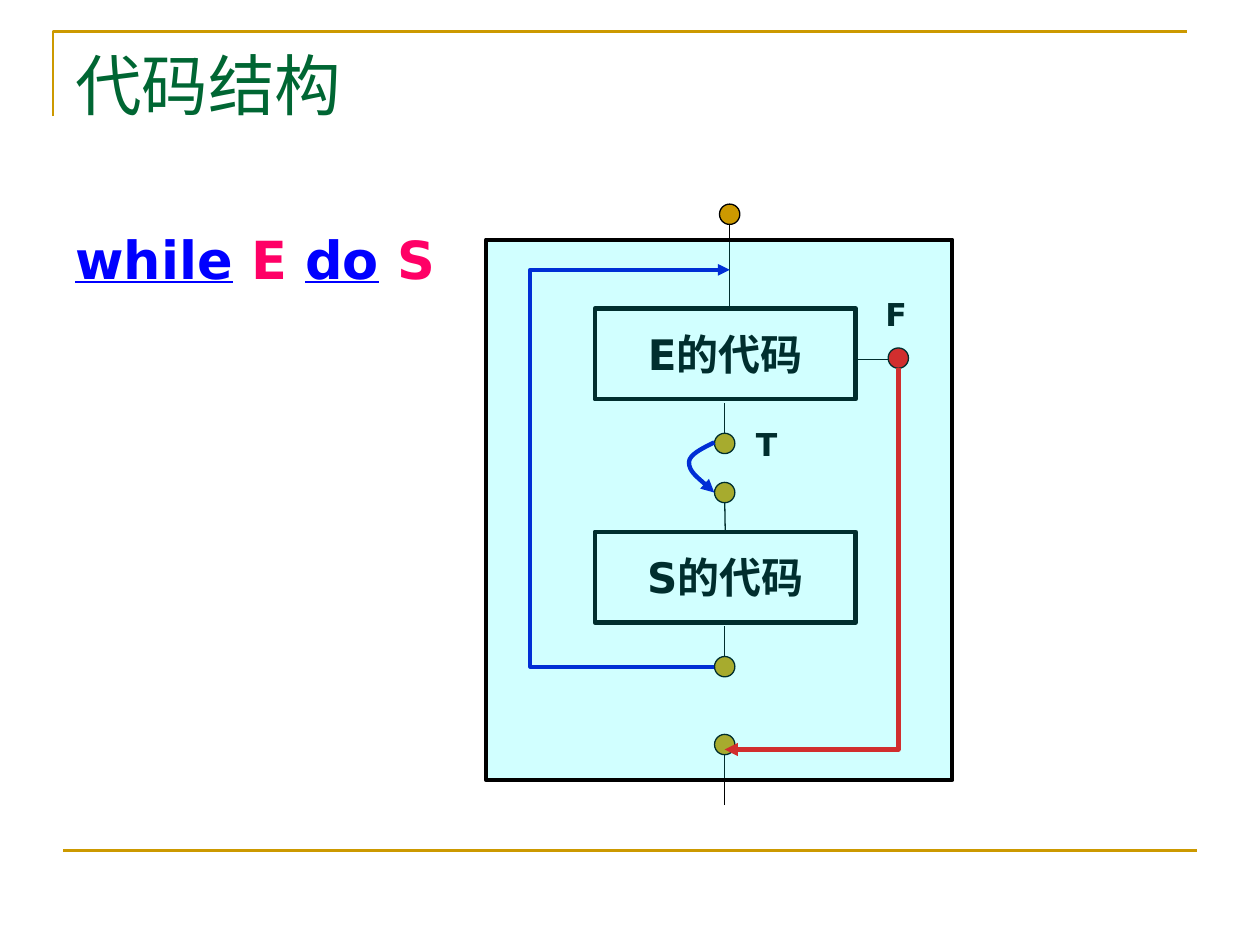
from lxml.etree import SubElement
from pptx import Presentation
from pptx.dml.color import RGBColor
from pptx.enum.shapes import MSO_CONNECTOR, MSO_SHAPE
from pptx.enum.text import MSO_ANCHOR, PP_ALIGN
from pptx.oxml.ns import qn
from pptx.util import Cm, Pt

THEME = {
    "cjk": "Noto Sans CJK SC", "latin": "DejaVu Sans",
    "title": 38, "statement": 30, "code": 24, "label": 18,
    "green": "006633", "gold": "CC9900", "keyword": "0000FF", "symbol": "FF0066",
    "black": "000000", "loop": "0000CC", "exit": "FF0000", "frame": "00FFFF",
    "thin": 0.75, "rule": 1.5, "edge": 2.25, "bold": 2.5,
}

TITLE = "代码结构"
STATEMENT = [  # text, colour, underlined
    ("while", "keyword", True), (" ", "black", False), ("E ", "symbol", False),
    ("do", "keyword", True), (" ", "black", False), ("S", "symbol", False),
]
CODE_BOXES = [("E的代码", 6.22), ("S的代码", 10.72)]  # text, top
LABELS = [("T", 14.99, 8.43), ("F", 17.6, 5.82)]  # text, left, top

# All positions are in centimetres
AXIS, ENTRY_X, EXIT_X = 14.61, 14.71, 18.11
BOX_LEFT, BOX_WIDTH, BOX_HEIGHT = 11.99, 5.26, 1.83
DOT = 0.41
FRAME = (9.8, 4.83, 9.4, 10.9)
DOTS = [  # centre x, centre y, colour
    (ENTRY_X, 4.32, "gold"), (AXIS, 8.94, "gold"), (AXIS, 9.93, "gold"),
    (AXIS, 13.44, "gold"), (AXIS, 15.01, "gold"), (EXIT_X, 7.22, "exit"),
]
STEMS = [  # from x, from y, to x, to y
    (ENTRY_X, 4.52, ENTRY_X, 6.22), (AXIS, 8.74, AXIS, 8.13),
    (AXIS, 13.23, AXIS, 12.62), (17.91, 7.24, 17.3, 7.24),
    (AXIS, 16.23, AXIS, 14.81),
]
TRUE_JUMP = [(14.4, 8.92), (14.15, 9.04), (13.89, 9.17), (13.89, 9.32),
             (13.89, 9.5), (14.15, 9.7), (14.4, 9.93)]
FALSE_JUMP = [(EXIT_X, 7.42), (EXIT_X, 15.11), (AXIS, 15.11)]
LOOP_BACK = [(14.4, 13.44), (10.69, 13.44), (10.69, 5.44), (ENTRY_X, 5.44)]
CORNER = [(1.07, 2.34), (1.07, 0.64), (23.93, 0.64)]


def color(name):
    return RGBColor.from_string(THEME[name])


def set_all(target, **values):
    for name, value in values.items():
        setattr(target, name, value)


def style_line(line, tint, width):
    line.color.rgb = color(tint)
    line.width = Pt(THEME[width])


def add_span(para, text, size, tint, font="latin", **extra):
    span = para.add_run()
    span.text = text
    set_all(span.font, size=Pt(THEME[size]), name=THEME[font], **extra)
    span.font.color.rgb = color(tint)
    east_asian = SubElement(span.font._element, qn("a:ea"))
    east_asian.set("typeface", THEME["cjk"])


def format_frame(frame, anchor):
    set_all(frame, word_wrap=True, vertical_anchor=anchor,
            margin_left=Cm(0.25), margin_right=Cm(0.25),
            margin_top=Cm(0.13), margin_bottom=Cm(0.13))
    return frame.paragraphs[0]


def place(shape, left, top, width, height):
    set_all(shape, left=Cm(left), top=Cm(top), width=Cm(width), height=Cm(height))


def add_preset(page, kind, area, fill, width):
    shape = page.shapes.add_shape(kind, *map(Cm, area))
    shape.shadow.inherit = False
    if fill:
        shape.fill.solid()
        shape.fill.fore_color.rgb = color(fill)
    else:
        shape.fill.background()
    style_line(shape.line, "black", width)
    return shape


def add_stem(page, ends, tint="black", width="thin"):
    stem = page.shapes.add_connector(MSO_CONNECTOR.STRAIGHT, *map(Cm, ends))
    style_line(stem.line, tint, width)
    SubElement(stem._element.spPr, qn("a:effectLst"))
    return stem


def add_route(page, points, tint, width, arrow=True, curved=False):
    """Draw an open path; a curved one reads its points as cubic Bezier triples."""
    start, *rest = [(Cm(x), Cm(y)) for x, y in points]
    builder = page.shapes.build_freeform(*start)
    builder.add_line_segments(rest, close=False)
    route = builder.convert_to_shape()
    route.shadow.inherit = False
    route.fill.background()
    style_line(route.line, tint, width)
    if curved:
        path = next(route._element.iter(qn("a:path")))
        segments = path.findall(qn("a:lnTo"))
        for first in range(0, len(segments), 3):
            bezier = SubElement(path, qn("a:cubicBezTo"))
            for segment in segments[first:first + 3]:
                bezier.append(segment[0])
                path.remove(segment)
    if arrow:
        SubElement(route.line._get_or_add_ln(), qn("a:tailEnd")).set("type", "triangle")


def add_heading(page):
    title, body = page.placeholders
    place(title, 1.27, 0.76, 22.86, 3.18)
    para = format_frame(title.text_frame, MSO_ANCHOR.TOP)
    para.alignment = PP_ALIGN.LEFT
    add_span(para, TITLE, "title", "green", "cjk")

    place(body, 1.27, 4.45, 22.86, 1.6)
    para = format_frame(body.text_frame, MSO_ANCHOR.TOP)
    set_all(para, alignment=PP_ALIGN.LEFT, space_before=Pt(7.5))
    properties = para._p.get_or_add_pPr()
    properties.set("marL", "0")
    properties.set("indent", "0")
    SubElement(properties, qn("a:buNone"))
    for text, tint, underlined in STATEMENT:
        add_span(para, text, "statement", tint, bold=True, underline=underlined)


def add_flow(page):
    boxes = []
    for text, top in CODE_BOXES:
        area = (BOX_LEFT, top, BOX_WIDTH, BOX_HEIGHT)
        box = add_preset(page, MSO_SHAPE.RECTANGLE, area, None, "bold")
        para = format_frame(box.text_frame, MSO_ANCHOR.MIDDLE)
        para.alignment = PP_ALIGN.CENTER
        add_span(para, text, "code", "black", bold=True)
        boxes.append(box)

    for ends in STEMS:
        add_stem(page, ends)
    body_entry = add_stem(page, (AXIS, 10.13, AXIS, 10.72))
    body_entry.end_connect(boxes[1], 0)

    for x, y, tint in DOTS:
        area = (x - DOT / 2, y - DOT / 2, DOT, DOT)
        add_preset(page, MSO_SHAPE.OVAL, area, tint, "thin")

    for text, left, top in LABELS:
        label = page.shapes.add_textbox(Cm(left), Cm(top), Cm(1.05), Cm(1.02))
        para = format_frame(label.text_frame, MSO_ANCHOR.MIDDLE)
        add_span(para, text, "label", "black", bold=True)

    add_route(page, TRUE_JUMP, "loop", "bold", curved=True)
    add_route(page, FALSE_JUMP, "exit", "bold")
    add_route(page, LOOP_BACK, "loop", "edge")

    # The translucent frame lies over the whole flow and tints it
    frame = add_preset(page, MSO_SHAPE.RECTANGLE, FRAME, "frame", "edge")
    tint = next(frame._element.spPr.iter(qn("a:srgbClr")))
    SubElement(tint, qn("a:alpha")).set("val", "18000")


def main():
    deck = Presentation()
    set_all(deck, slide_width=Cm(25.4), slide_height=Cm(19.05))
    page = deck.slides.add_slide(deck.slide_layouts[1])
    add_route(page, CORNER, "gold", "rule", arrow=False)
    add_stem(page, (1.27, 17.15, 24.13, 17.15), "gold", "rule")
    add_heading(page)
    add_flow(page)
    deck.save("out.pptx")


if __name__ == "__main__":
    main()
